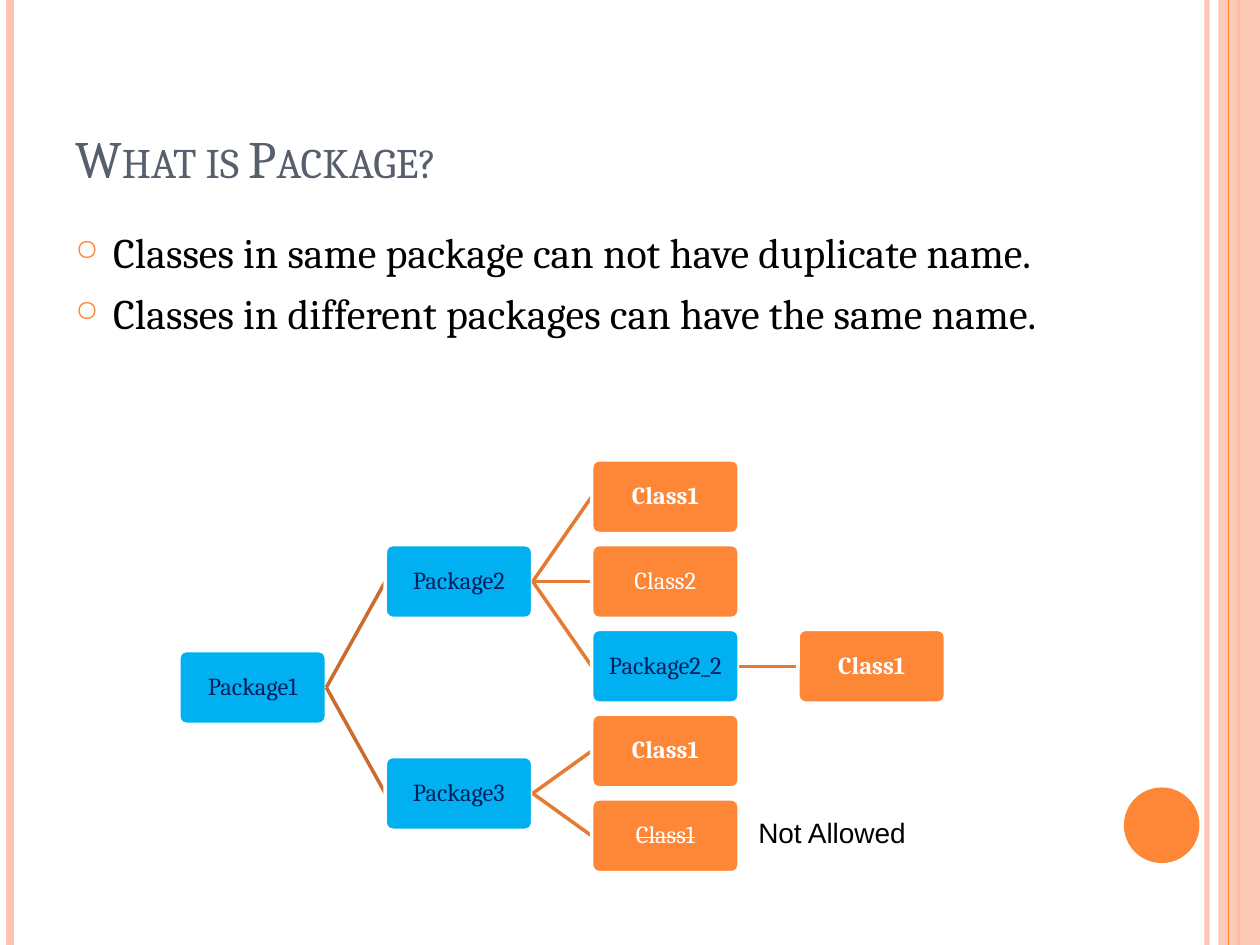
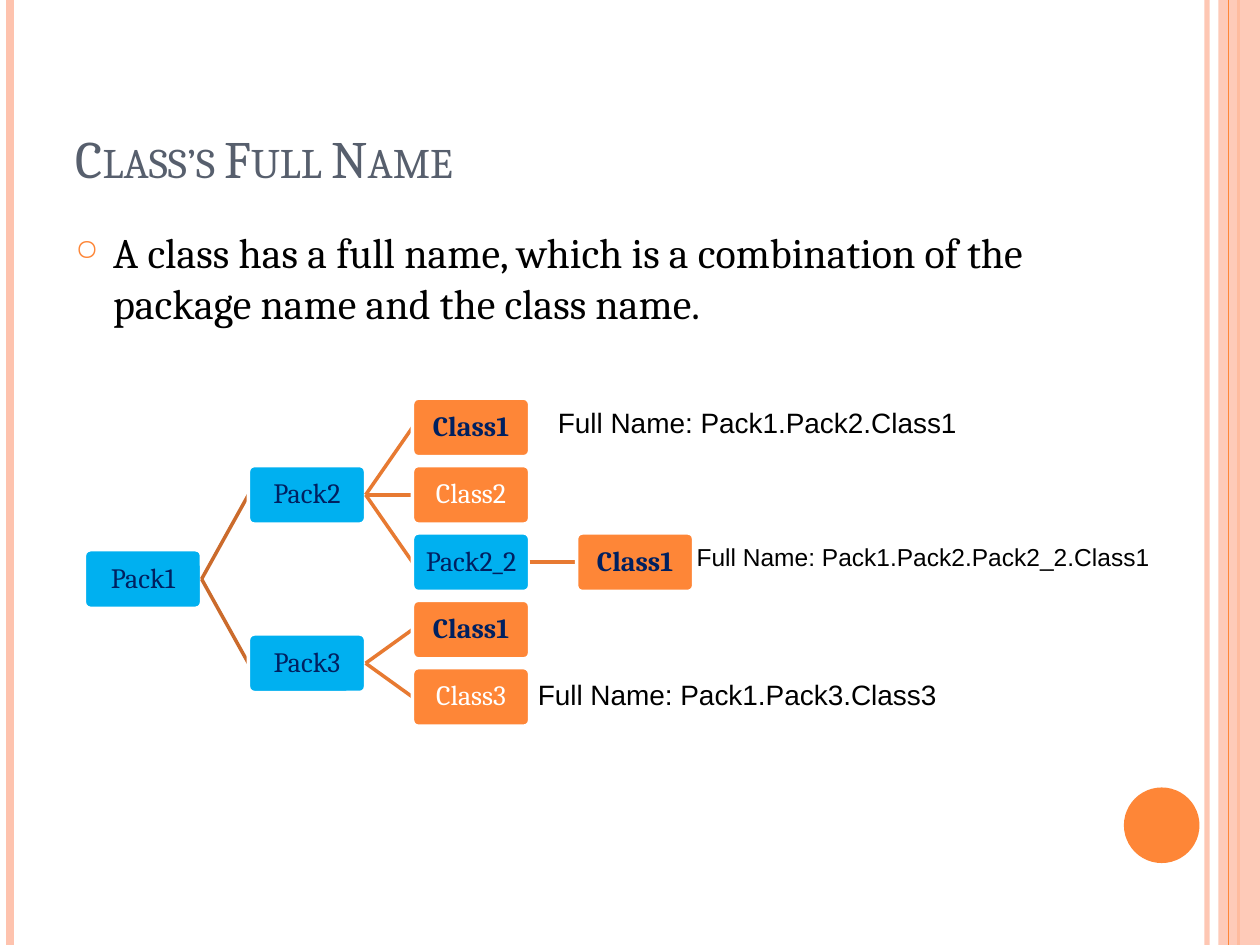
import lxml.etree
import pptx
import pptx.dml.color
import pptx.enum.shapes
import pptx.enum.text
import pptx.oxml.ns
import pptx.util

Inches, Pt = pptx.util.Inches, pptx.util.Pt
RGBColor = pptx.dml.color.RGBColor
SHAPE = pptx.enum.shapes.MSO_SHAPE
ANCHOR = pptx.enum.text.MSO_ANCHOR
ALIGN = pptx.enum.text.PP_ALIGN
qn = pptx.oxml.ns.qn

ORANGE = RGBColor(0xFE, 0x86, 0x37)
PEACH = RGBColor(0xFE, 0xC3, 0xAE)
SLATE = RGBColor(0x57, 0x5F, 0x6D)
SKY = RGBColor(0x00, 0xB0, 0xF0)
NAVY = RGBColor(0x00, 0x20, 0x60)
ROOT_LINK = RGBColor(0xCB, 0x6B, 0x2C)
LINK = RGBColor(0xE7, 0x7A, 0x32)
BLACK = RGBColor(0x00, 0x00, 0x00)
WHITE = RGBColor(0xFF, 0xFF, 0xFF)

# Both trees have the same form: column, row, parent, kind
TREE = [
    (0, 2.25, None, "package"),
    (1, 1, 0, "package"),
    (2, 0, 1, "namesake"),
    (2, 1, 1, "class"),
    (2, 2, 1, "package"),
    (3, 2, 4, "namesake"),
    (1, 3.5, 0, "package"),
    (2, 3, 6, "namesake"),
    (2, 4, 6, "class"),
]

SLIDES = [
    dict(
        title="What is Package?",
        points=["Classes in same package can not have duplicate name.",
                "Classes in different packages can have the same name."],
        labels=["Package1", "Package2", "Class1", "Class2", "Package2_2",
                "Class1", "Package3", "Class1", "Class1"],
        left=1.42, top=3.65, node_width=1.17, label_size=14,
        namesake_color=WHITE, struck_node=8,
        remarks=[("Not Allowed", 5.92, 6.42, 1.38, 16)],
    ),
    dict(
        title="Class’s Full Name",
        points=["A class has a full name, which is a combination of the "
                "package name and the class name."],
        labels=["Pack1", "Pack2", "Class1", "Class2", "Pack2_2",
                "Class1", "Pack3", "Class1", "Class3"],
        left=0.67, top=3.16, node_width=0.93, label_size=16,
        namesake_color=NAVY, struck_node=None,
        remarks=[("Full Name: Pack1.Pack2.Class1", 4.33, 3.17, 3.4, 16),
                 ("Full Name: Pack1.Pack3.Class3", 4.17, 5.33, 3.4, 16),
                 ("Full Name: Pack1.Pack2.Pack2_2.Class1", 5.43, 4.25, 3.82, 14)],
    ),
]


def write_text(shape, text, size, color, font="Cambria", bold=False, align=ALIGN.LEFT,
               anchor=ANCHOR.TOP, wrap=True, bullet=None, spacing=None, extra=None):
    """Fill a shape with text, one paragraph a line; extra holds run attributes."""
    frame = shape.text_frame
    frame.word_wrap = wrap
    frame.vertical_anchor = anchor
    for number, line in enumerate(text.split("\n")):
        paragraph = frame.add_paragraph() if number else frame.paragraphs[0]
        if bullet:
            properties = paragraph._p.get_or_add_pPr()
            properties.set("marL", str(Inches(0.3)))
            properties.set("indent", str(-Inches(0.3)))
            bullet_color = lxml.etree.SubElement(properties, qn("a:buClr"))
            lxml.etree.SubElement(bullet_color, qn("a:srgbClr"), val=str(ORANGE))
            lxml.etree.SubElement(properties, qn("a:buSzPct"), val="70000")
            lxml.etree.SubElement(properties, qn("a:buChar"), char=bullet)
        if number:
            paragraph.space_before = Pt(6)
        paragraph.alignment = align
        paragraph.line_spacing = spacing
        run = paragraph.add_run()
        run.text = line
        run.font.name = font
        run.font.size = Pt(size)
        run.font.bold = bold
        run.font.color.rgb = color
        for key, value in (extra or {}).items():
            run.font._element.set(key, value)


def add_line(slide, start, end, color, width):
    line = slide.shapes.add_connector(pptx.enum.shapes.MSO_CONNECTOR.STRAIGHT,
                                      *map(Inches, start + end))
    line.line.color.rgb = color
    line.line.width = Pt(width)
    lxml.etree.SubElement(line._element.spPr, qn("a:effectLst"))
    return line


deck = pptx.Presentation()
deck.slide_width, deck.slide_height = Inches(10), Inches(7.5)

for content in SLIDES:
    slide = deck.slides.add_slide(deck.slide_layouts[6])
    shapes = slide.shapes

    # Side bands and the page disc
    inner_stripe = add_line(slide, (9.58, 0), (9.58, 7.5), PEACH, 3)
    add_line(slide, (0.08, 0), (0.08, 7.5), PEACH, 4.5)
    add_line(slide, (9.83, 0), (9.83, 7.5), ORANGE, 1.5)
    band = shapes.add_shape(SHAPE.RECTANGLE, Inches(9.67), 0, Inches(0.33), Inches(7.5))
    add_line(slide, (9.75, 0), (9.75, 7.5), ORANGE, 0.75)
    disc = shapes.add_shape(SHAPE.OVAL, Inches(8.92), Inches(6.25), Inches(0.6), Inches(0.6))
    for ornament, color in ((band, PEACH), (disc, ORANGE)):
        ornament.shadow.inherit = False
        ornament.fill.solid()
        ornament.fill.fore_color.rgb = color
        ornament.line.fill.background()
    for ornament, percent in ((inner_stripe, 93), (band, 87)):
        tint = next(ornament._element.iter(qn("a:srgbClr")))
        lxml.etree.SubElement(tint, qn("a:alpha"), val=str(percent * 1000))

    heading = shapes.add_textbox(Inches(0.5), Inches(0.3), Inches(8.17), Inches(1.25))
    write_text(heading, content["title"], 30, SLATE, anchor=ANCHOR.BOTTOM,
               extra={"cap": "small"})
    points = shapes.add_textbox(Inches(0.5), Inches(1.75), Inches(8.17), Inches(1.25))
    write_text(points, "\n".join(content["points"]), 24, BLACK, bullet="○")

    # Tree: columns are 1.4 node widths apart, rows 1.15 node heights
    width = content["node_width"]
    height = width / 2
    nodes = []
    for index, (column, row, parent, kind) in enumerate(TREE):
        left = content["left"] + column * 1.4 * width
        top = content["top"] + row * 1.15 * height
        node = shapes.add_shape(SHAPE.ROUNDED_RECTANGLE, Inches(left), Inches(top),
                                Inches(width), Inches(height))
        node.adjustments[0] = 0.1
        node.shadow.inherit = False
        node.fill.solid()
        node.fill.fore_color.rgb = SKY if kind == "package" else ORANGE
        node.line.color.rgb = WHITE
        node.line.width = Pt(2)
        frame = node.text_frame
        frame.margin_left = frame.margin_right = Inches(0.03)
        frame.margin_top = frame.margin_bottom = Inches(0.03)
        label_color = {"package": NAVY, "class": WHITE,
                       "namesake": content["namesake_color"]}[kind]
        struck = index == content["struck_node"]
        write_text(node, content["labels"][index], content["label_size"], label_color,
                   bold=kind == "namesake", align=ALIGN.CENTER, anchor=ANCHOR.MIDDLE,
                   spacing=0.9, extra={"strike": "sngStrike"} if struck else None)
        nodes.append(node)
        if parent is not None:
            link = add_line(slide, (0, 0), (0, 0), LINK if parent else ROOT_LINK, 2)
            link.begin_connect(nodes[parent], 3)
            link.end_connect(node, 1)
            node._element.addprevious(link._element)  # the node's outline covers the link's end

    for remark, left, top, remark_width, size in content["remarks"]:
        note = shapes.add_textbox(Inches(left), Inches(top), Inches(remark_width), Inches(0.37))
        note.text_frame.auto_size = pptx.enum.text.MSO_AUTO_SIZE.SHAPE_TO_FIT_TEXT
        write_text(note, remark, size, BLACK, font="Arial", wrap=False)

deck.save("out.pptx")
